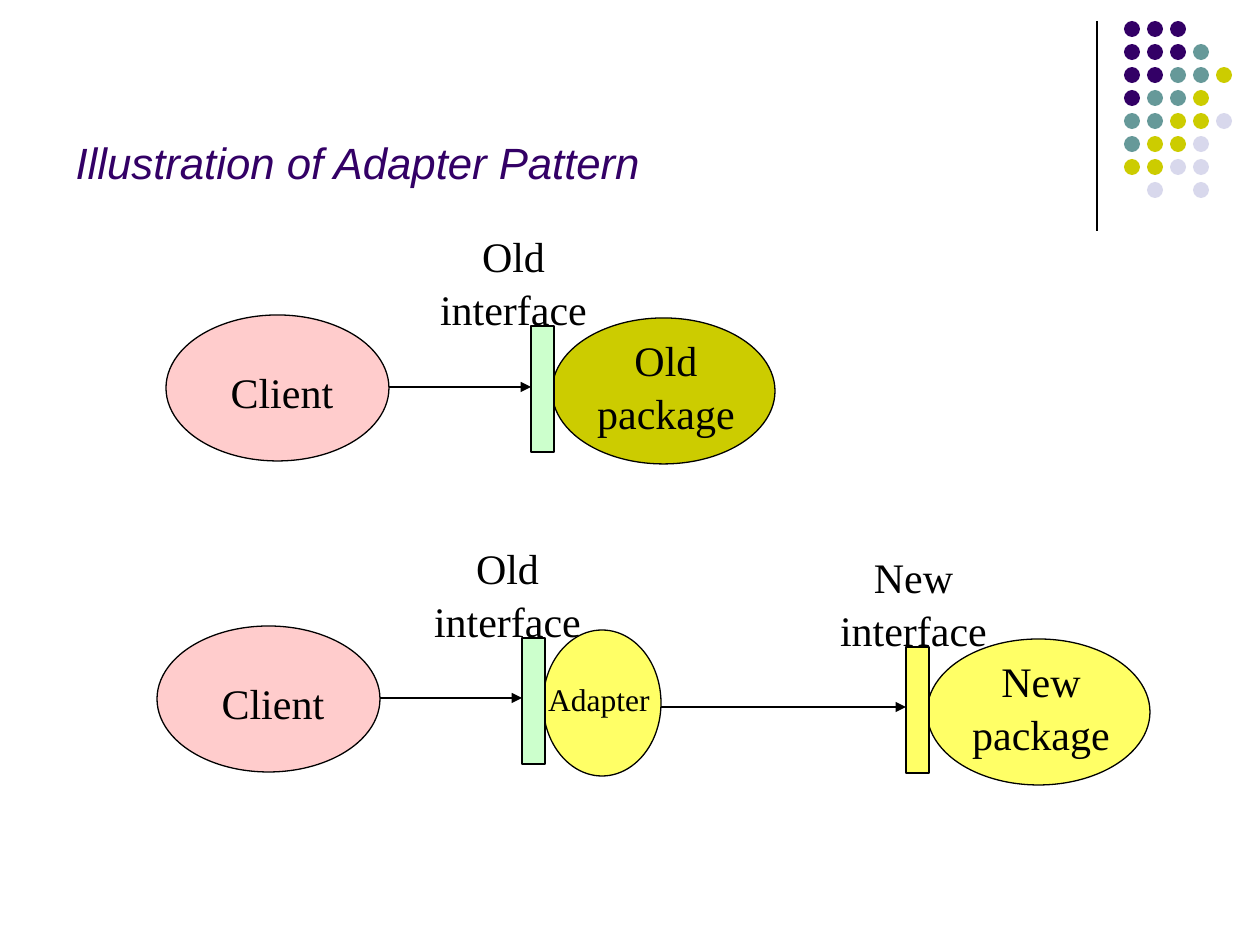
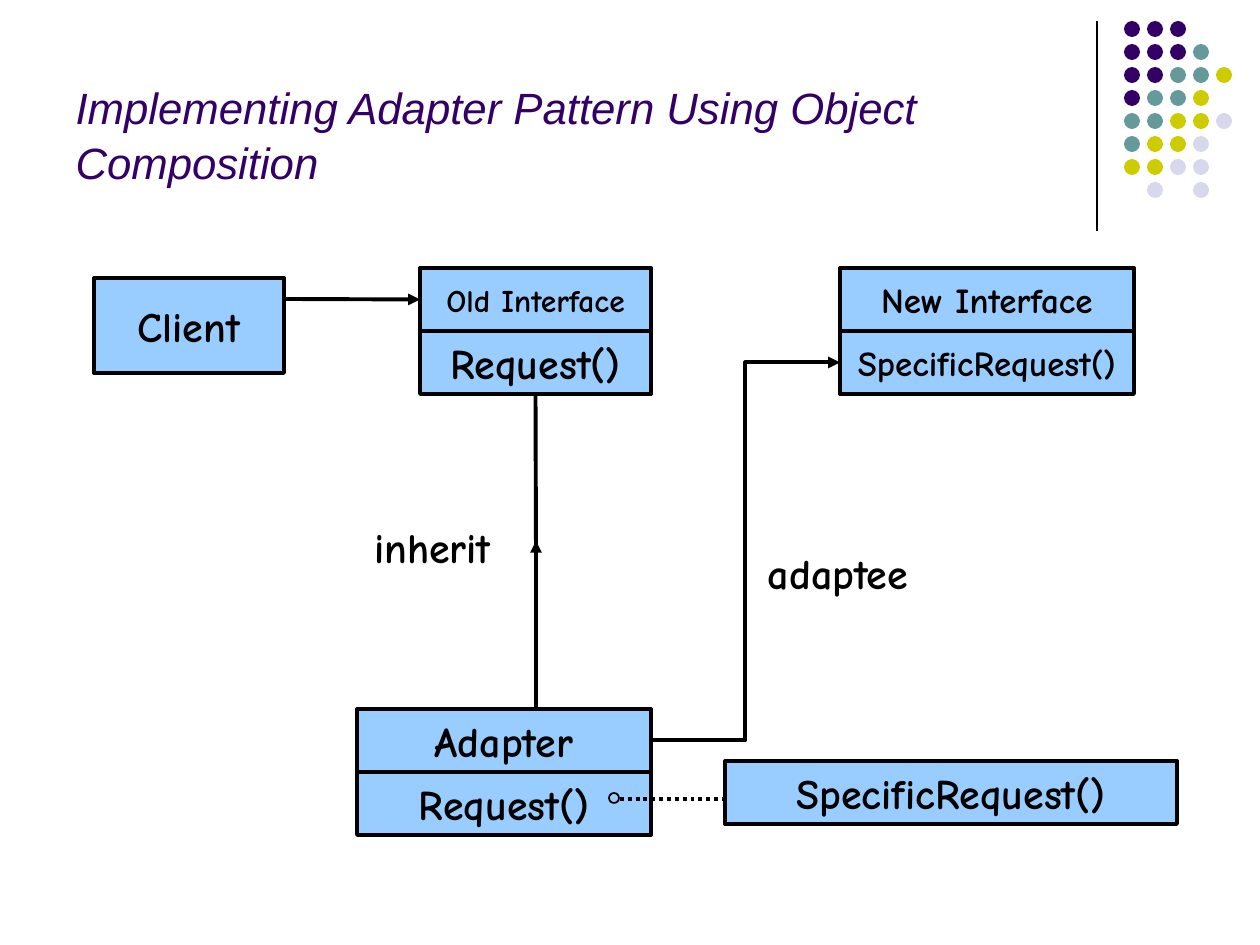
from lxml.etree import SubElement
from pptx import Presentation
from pptx.dml.color import RGBColor
from pptx.enum.dml import MSO_LINE as Dash
from pptx.enum.shapes import MSO_CONNECTOR as Connector, MSO_SHAPE as Preset
from pptx.enum.text import MSO_ANCHOR as Anchor, MSO_AUTO_SIZE as AutoSize, PP_ALIGN as Align
from pptx.oxml.ns import qn
from pptx.util import Pt

EMU_PER_PX = 914400 / 126
COLORS = {
    "black": "000000",
    "purple": "330066",
    "teal": "669999",
    "olive": "CCCC00",
    "lavender": "D8D8EC",
    "pink": "FFCCCC",
    "mint": "CCFFCC",
    "yellow": "FFFF66",
    "blue": "99CCFF",
}
DOT_COLORS = {"P": "purple", "T": "teal", "Y": "olive", "L": "lavender"}
DOT_ROWS = ["PPP", "PPPT", "PPTTY", "PTTY", "TTYYL", "TYYL", "YYLL", " L L"]
DOT_LEFT, DOT_TOP, DOT_SIZE, DOT_PITCH = 1124, 21, 16, 23
SERIF, SANS, COMIC = "Times New Roman", "Arial", "Comic Neue"


def px(*lengths):
    return [round(length * EMU_PER_PX) for length in lengths]


def color(name):
    return RGBColor.from_string(COLORS[name])


class Deck:
    """Holds the shared style and the slide being drawn."""

    def __init__(self):
        self.presentation = Presentation()
        self.presentation.slide_width, self.presentation.slide_height = px(1260, 945)
        self.slide = None

    def add_slide(self, title):
        self.slide = self.presentation.slides.add_slide(self.presentation.slide_layouts[5])
        self.line((1097, 21), (1097, 231))
        self.dot_pattern()
        shape = self.slide.shapes.title
        shape.left, shape.top, shape.width, shape.height = px(63, 16, 1040, 179)
        self.set_text(shape, title, 25, SANS, "purple", align=Align.LEFT, anchor=Anchor.BOTTOM)
        shape.text_frame.paragraphs[0].font.italic = True

    def dot_pattern(self):
        group = self.slide.shapes.add_group_shape()
        for row, letters in enumerate(DOT_ROWS):
            for column, letter in enumerate(letters):
                if letter in DOT_COLORS:
                    left = DOT_LEFT + column * DOT_PITCH
                    top = DOT_TOP + row * DOT_PITCH
                    self.shape((left, top, DOT_SIZE, DOT_SIZE), DOT_COLORS[letter],
                               Preset.OVAL, line_width=0, parent=group)

    def set_text(self, shape, text, size, font, ink="black", align=Align.CENTER,
                 anchor=Anchor.MIDDLE, wrap=True, spacing=1.05):
        frame = shape.text_frame
        frame.auto_size = AutoSize.NONE
        frame.word_wrap = wrap
        frame.vertical_anchor = anchor
        frame.text = text
        paragraph = frame.paragraphs[0]
        paragraph.alignment = align
        paragraph.line_spacing = spacing
        paragraph.font.name = font
        paragraph.font.size = Pt(size)
        paragraph.font.color.rgb = color(ink)
        paragraph.font.bold = font == COMIC

    def shape(self, box, fill, preset=Preset.RECTANGLE, line_width=0.75, parent=None):
        shape = (parent or self.slide).shapes.add_shape(preset, *px(*box))
        shape.shadow.inherit = False
        shape.fill.solid()
        shape.fill.fore_color.rgb = color(fill)
        if line_width:
            shape.line.color.rgb = color("black")
            shape.line.width = Pt(line_width)
        else:
            shape.line.fill.background()
        return shape

    def serif_label(self, box, text, size=24):
        label = self.slide.shapes.add_textbox(*px(*box))
        self.set_text(label, text, size, SERIF, anchor=Anchor.TOP)
        label.text_frame.margin_left, label.text_frame.margin_right = px(8, 8)

    def comic_label(self, box, text):
        label = self.slide.shapes.add_textbox(*px(*box))
        self.set_text(label, text, 24, COMIC, wrap=False, spacing=1)

    def comic_box(self, box, text, size=24):
        shape = self.shape(box, "blue", line_width=2.25)
        self.set_text(shape, text, size, COMIC, wrap=False, spacing=1)
        return shape

    def class_box(self, left, top, width, name, operation):
        """Stack a class name over its operation; each is (text, size)."""
        return [self.comic_box((left, top + 63 * row, width, 63), text, size)
                for row, (text, size) in enumerate([name, operation])]

    def line(self, start, end, width=0.75, arrow=False, dash=None,
             kind=Connector.STRAIGHT, begin=None, finish=None):
        """Draw a line; begin and finish are optional (shape, site) joints."""
        connector = self.slide.shapes.add_connector(kind, *px(*start, *end))
        if begin:
            connector.begin_connect(*begin)
        if finish:
            connector.end_connect(*finish)
        connector.line.color.rgb = color("black")
        connector.line.width = Pt(width)
        if dash:
            connector.line.dash_style = dash
        properties = connector._element.spPr
        if arrow:
            SubElement(properties.find(qn("a:ln")), qn("a:tailEnd"), type="triangle")
        SubElement(properties, qn("a:effectLst"))


def draw_client(deck, left, top):
    deck.shape((left, top, 223, 146), "pink", Preset.OVAL)
    deck.serif_label((left + 34, top + 43, 164, 63), "Client")
    deck.line((left + 223, top + 72), (left + 365, top + 72), arrow=True)


def draw_package(deck, bar, name, interface, fills, label_left):
    """Draw an ellipse behind its interface bar, whose corner is given."""
    left, top = bar
    package_fill, bar_fill = fills
    is_adapter = name == "Adapter"
    deck.shape((left + 21, top - 8, 118 if is_adapter else 223, 146), package_fill, Preset.OVAL)
    if is_adapter:
        deck.serif_label((left - 5, top + 34, 164, 50), name, 18)
    else:
        deck.serif_label((left + 53, top, 164, 113), name)
    deck.shape((left, top, 23, 126), bar_fill)
    deck.serif_label((label_left, top - 104, 171, 113), interface)


def draw_illustration(deck):
    deck.add_slide("Illustration of Adapter Pattern")
    draw_client(deck, 166, 315)
    draw_package(deck, (531, 326), "Old package", "Old interface", ("olive", "mint"), 428)
    draw_client(deck, 157, 626)
    draw_package(deck, (522, 638), "Adapter", "Old interface", ("yellow", "mint"), 422)
    draw_package(deck, (906, 647), "New package", "New interface", ("yellow", "yellow"), 828)
    deck.line((661, 707), (906, 707), arrow=True)


def draw_composition(deck):
    deck.add_slide("Implementing Adapter Pattern Using Object Composition")
    deck.comic_box((94, 278, 190, 95), "Client")
    old_name, old_request = deck.class_box(
        420, 268, 231, ("Old Interface", 18), ("Request()", 24))
    new_request = deck.class_box(
        840, 268, 294, ("New Interface", 20), ("SpecificRequest()", 20))[1]
    adapter = deck.class_box(357, 709, 294, ("Adapter", 24), ("Request()", 24))[0]

    deck.line((620, 799), (725, 799), 2.25, dash=Dash.ROUND_DOT)
    deck.shape((609, 793, 10, 10), "blue", Preset.OVAL, line_width=1)
    deck.comic_box((725, 761, 452, 63), "SpecificRequest()")

    deck.comic_label((755, 541, 166, 63), "adaptee")
    deck.line((536, 394), (536, 552), 2.25, begin=(old_request, 2))
    deck.line((536, 709), (536, 541), 2.25, arrow=True)
    deck.line((651, 740), (840, 362), 2.25, arrow=True, kind=Connector.ELBOW,
              begin=(adapter, 3), finish=(new_request, 1))
    deck.line((284, 299), (420, 299), 2.25, arrow=True, finish=(old_name, 1))
    deck.comic_label((362, 515, 141, 63), "inherit")


def main():
    deck = Deck()
    draw_illustration(deck)
    draw_composition(deck)
    deck.presentation.save("out.pptx")


if __name__ == "__main__":
    main()
